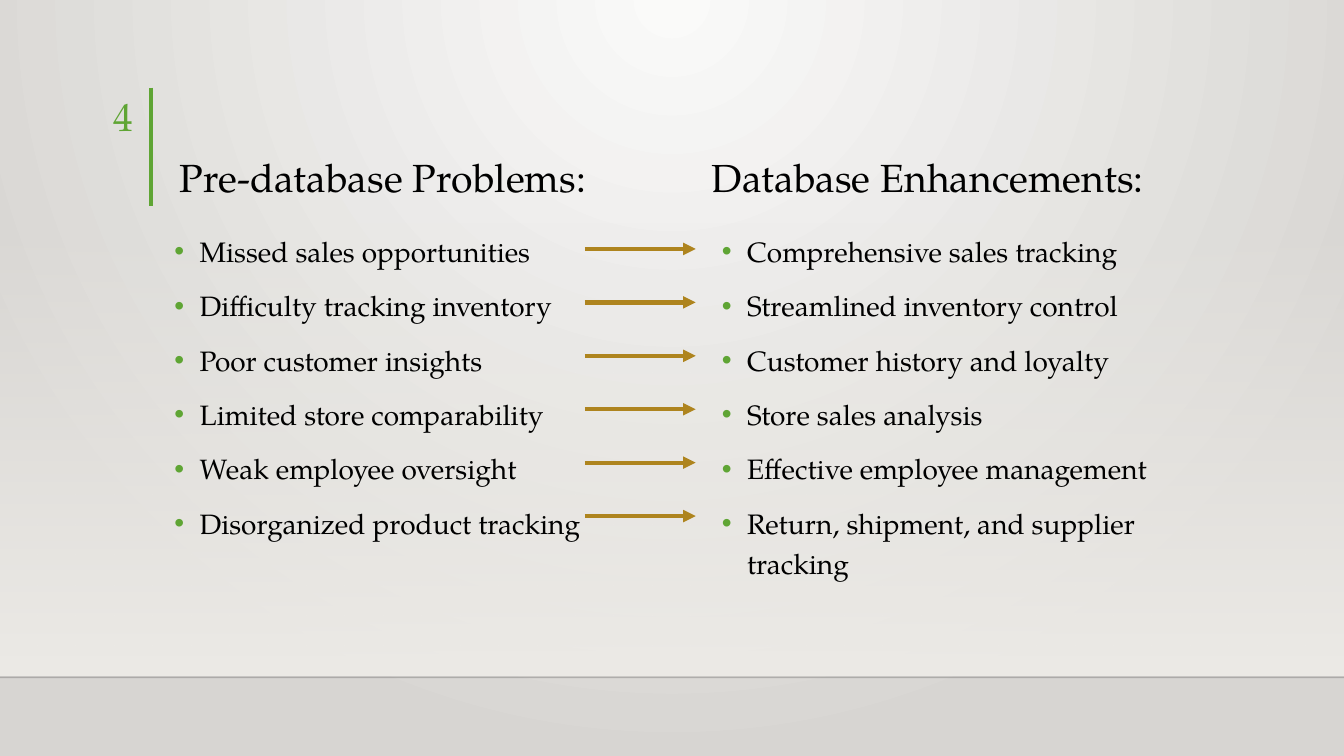
import pptx
import pptx.util
import pptx.dml.color
import pptx.enum.text
import pptx.enum.shapes
import pptx.oxml
import pptx.oxml.ns

Inches = pptx.util.Inches
Pt = pptx.util.Pt
RGB = pptx.dml.color.RGBColor
Enum = pptx.enum.text
qn = pptx.oxml.ns.qn
NS = pptx.oxml.ns.nsdecls("a")

FONT = "TeX Gyre Pagella"
BLACK = RGB(0, 0, 0)
GREEN = RGB(0x5F, 0xA5, 0x34)
GOLD = RGB(0xAE, 0x84, 0x1E)
RULE = RGB(0, 0, 1)
PALE = RGB(0xFA, 0xFA, 0xF9)
GREY = RGB(0xD7, 0xD5, 0xD2)
WALL = RGB(0xED, 0xEB, 0xE7)

HEADS = ["Pre-database Problems:", "\t", "Database Enhancements:"]
PAIRS = [
    ("Missed sales opportunities", "Comprehensive sales tracking"),
    ("Difficulty tracking inventory", "Streamlined inventory control"),
    ("Poor customer insights", "Customer history and loyalty"),
    ("Limited store comparability", "Store sales analysis"),
    ("Weak employee oversight", "Effective employee management"),
    ("Disorganized product tracking", "Return, shipment, and supplier tracking"),
]
NUMBER = "4"
WIDE, HIGH = 13.33, 7.5
LEFTS = [1.63, 7.06]
TOP, STEP = 2.47, 0.53


def xml(text):
    return pptx.oxml.parse_xml(text.replace(">", f" {NS}>", 1))


def grad(first, last, alpha, shade):
    return xml(
        f'<a:gradFill rotWithShape="1"><a:gsLst>'
        f'<a:gs pos="0"><a:srgbClr val="{first}"><a:alpha val="{alpha}"/></a:srgbClr></a:gs>'
        f'<a:gs pos="100000"><a:srgbClr val="{last}"/></a:gs>'
        f'</a:gsLst>{shade}</a:gradFill>')


def refill(root, fill):
    old = root.find(".//" + qn("a:solidFill"))
    old.getparent().replace(old, fill)


def place(shape, left, top, width, height):
    shape.left, shape.top = Inches(left), Inches(top)
    shape.width, shape.height = Inches(width), Inches(height)


def write(para, text, size, color):
    run = para.add_run()
    run.text = text
    run.font.size = Pt(size)
    run.font.name = FONT
    run.font.color.rgb = color


def draw(slide, x1, y1, x2, y2, color, weight):
    line = slide.shapes.add_connector(
        pptx.enum.shapes.MSO_CONNECTOR.STRAIGHT,
        Inches(x1), Inches(y1), Inches(x2), Inches(y2))
    line.line.color.rgb = color
    line.line.width = Pt(weight)
    line._element.spPr.append(xml("<a:effectLst></a:effectLst>"))
    return line.line._get_or_add_ln()


def scene(slide):
    slide.background.fill.solid()
    slide.background.fill.fore_color.rgb = GREY
    refill(slide._element.cSld, grad(
        PALE, GREY, 100000,
        '<a:path path="circle"><a:fillToRect l="43000" t="0" r="43000" b="100000"/></a:path>'))
    wall = slide.shapes.add_shape(
        pptx.enum.shapes.MSO_SHAPE.RECTANGLE,
        0, Inches(2.2), Inches(WIDE), Inches(4.5))
    wall.shadow.inherit = False
    wall.line.fill.background()
    wall.fill.solid()
    wall.fill.fore_color.rgb = WALL
    refill(wall._element.spPr, grad(WALL, WALL, 0, '<a:lin ang="5400000" scaled="0"/>'))
    floor = draw(slide, 0, 6.72, WIDE, 6.72, RULE, 1)
    floor.find(".//" + qn("a:srgbClr")).append(xml('<a:alpha val="20000"></a:alpha>'))
    draw(slide, 1.5, 0.87, 1.5, 2.04, GREEN, 3)


def head(slide):
    title = slide.shapes.title
    place(title, 1.68, 0.88, 10.41, 1.16)
    frame = title.text_frame
    frame.auto_size = Enum.MSO_AUTO_SIZE.NONE
    frame.vertical_anchor = Enum.MSO_ANCHOR.BOTTOM
    para = frame.paragraphs[0]
    stop = Inches(LEFTS[1] - 1.78)
    para._p.get_or_add_pPr().append(
        xml(f'<a:tabLst><a:tab pos="{stop}" algn="l"/></a:tabLst>'))
    para.alignment = Enum.PP_ALIGN.LEFT
    para.line_spacing = 0.9
    for text in HEADS:
        write(para, text, 28, BLACK)


def fill(body, left, items):
    place(body, left, 2.21, 5.04, 3.76)
    frame = body.text_frame
    frame.auto_size = Enum.MSO_AUTO_SIZE.NONE
    for i, text in enumerate(items):
        para = frame.add_paragraph() if i else frame.paragraphs[0]
        props = para._p.get_or_add_pPr()
        props.set("marL", str(Inches(0.25)))
        props.set("indent", str(Inches(-0.25)))
        props.append(xml(f'<a:buClr><a:srgbClr val="{GREEN}"/></a:buClr>'))
        props.append(xml('<a:buFont typeface="Arial"></a:buFont>'))
        props.append(xml('<a:buChar char="•"></a:buChar>'))
        para.line_spacing = 1.2
        para.space_before = Pt(10 if i else 0)
        write(para, text, 20, BLACK)


def main():
    deck = pptx.Presentation()
    deck.slide_width, deck.slide_height = Inches(WIDE), Inches(HIGH)
    slide = deck.slides.add_slide(deck.slide_layouts[3])
    scene(slide)
    tree = slide.shapes._spTree
    for holder in list(slide.placeholders):
        tree.append(holder._element)
    head(slide)
    for spot, left, items in zip((1, 2), LEFTS, zip(*PAIRS)):
        fill(slide.placeholders[spot], left, items)
    box = slide.shapes.add_textbox(
        Inches(0.53), Inches(0.87), Inches(0.89), Inches(0.55))
    box.text_frame.word_wrap = True
    para = box.text_frame.paragraphs[0]
    para.alignment = Enum.PP_ALIGN.RIGHT
    write(para, NUMBER, 28, GREEN)
    for i in range(len(PAIRS)):
        y = TOP + i * STEP
        line = draw(slide, 5.8, y, 6.9, y, GOLD, 3)
        line.append(xml('<a:tailEnd type="triangle"></a:tailEnd>'))
    deck.save("out.pptx")


if __name__ == "__main__":
    main()
